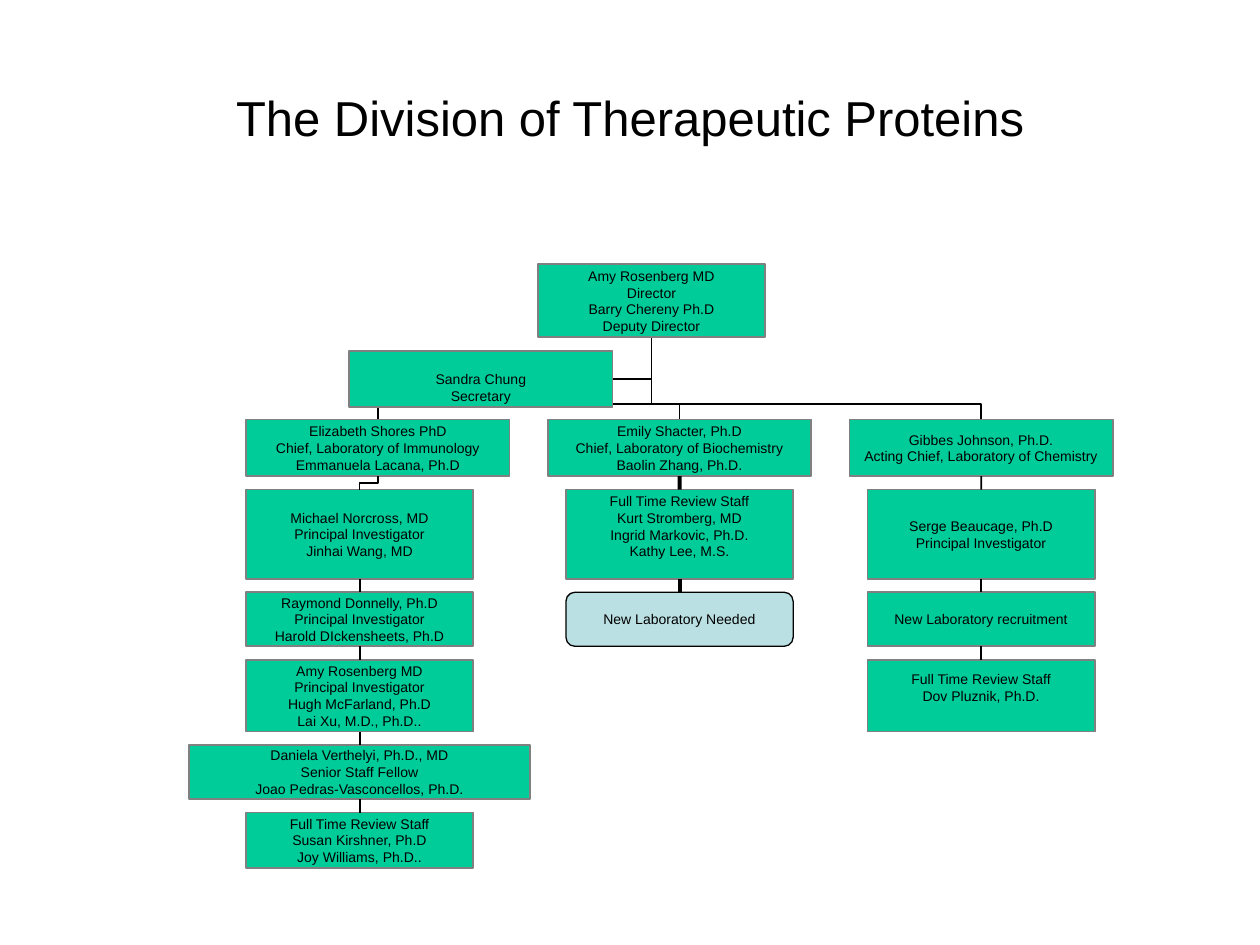
from lxml import etree
from pptx import Presentation
from pptx.dml.color import RGBColor
from pptx.enum.shapes import MSO_CONNECTOR, MSO_SHAPE
from pptx.enum.text import MSO_ANCHOR, MSO_AUTO_SIZE, PP_ALIGN
from pptx.oxml.ns import qn
from pptx.util import Cm, Pt

RECT, ROUNDED = MSO_SHAPE.RECTANGLE, MSO_SHAPE.ROUNDED_RECTANGLE
STRAIGHT, ELBOW = MSO_CONNECTOR.STRAIGHT, MSO_CONNECTOR.ELBOW
MIDDLE, CENTER, NO_FIT = MSO_ANCHOR.MIDDLE, PP_ALIGN.CENTER, MSO_AUTO_SIZE.NONE
BOTTOM, RIGHT, TOP = 2, 3, 0

COLORS = {"text": "000000", "box": "00CC99", "border": "808080",
          "open": "BBE0E3", "line": "000000"}
GAP, LINE_HEIGHT = 0.27, 0.33
CHIEF_W, CHIEF_H, CHIEF_TOP = 5.31, 1.14, 8.46
STAFF_W, WIDE_W = 4.58, 6.88
ROW_HEIGHTS = [1.8, 1.09, 1.45, 1.09, 1.12]

COLUMNS = [
    {"center": 7.62, "staff_center": 7.25, "weight": 1,
     "chief": ["Elizabeth Shores PhD", "Chief, Laboratory of Immunology",
               "Emmanuela Lacana, Ph.D"],
     "staff": [
         {"lines": ["Michael Norcross, MD", "Principal Investigator",
                    "Jinhai Wang, MD"]},
         {"lines": ["Raymond Donnelly, Ph.D", "Principal Investigator",
                    "Harold DIckensheets, Ph.D"]},
         {"lines": ["Amy Rosenberg MD", "Principal Investigator",
                    "Hugh McFarland, Ph.D", "Lai Xu, M.D., Ph.D.."]},
         {"lines": ["Daniela Verthelyi, Ph.D., MD", "Senior Staff Fellow",
                    "Joao Pedras-Vasconcellos, Ph.D."], "width": WIDE_W},
         {"lines": ["Full Time Review Staff", "Susan Kirshner, Ph.D",
                    "Joy Williams, Ph.D.."]}]},
    {"center": 13.7, "staff_center": 13.7, "weight": 2.25,
     "chief": ["Emily Shacter, Ph.D", "Chief, Laboratory of Biochemistry",
               "Baolin Zhang, Ph.D."],
     "staff": [
         {"lines": ["Full Time Review Staff", "Kurt Stromberg, MD",
                    "Ingrid Markovic, Ph.D.", "Kathy Lee, M.S."],
          "below": LINE_HEIGHT},
         {"lines": ["New Laboratory Needed"], "kind": ROUNDED}]},
    {"center": 19.78, "staff_center": 19.78, "weight": 1,
     "chief": ["Gibbes Johnson, Ph.D.", "Acting Chief, Laboratory of Chemistry"],
     "staff": [
         {"lines": ["Serge Beaucage, Ph.D", "Principal Investigator"]},
         {"lines": ["New Laboratory recruitment"]},
         {"lines": ["Full Time Review Staff", "Dov Pluznik, Ph.D."],
          "below": LINE_HEIGHT}]},
]


def rgb(name):
    return RGBColor.from_string(COLORS[name])


def format_text(p, size):
    p.alignment = CENTER
    for key, value in {"name": "Arial", "size": Pt(size)}.items():
        setattr(p.font, key, value)
    p.font.color.rgb = rgb("text")


def format_line(c, weight):
    c.line.color.rgb = rgb("line")
    c.line.width = Pt(weight)
    etree.SubElement(c._element.spPr, qn("a:effectLst"))


def add_box(s, x, y, w, h, lines, kind=RECT, above=0, below=0):
    sp = s.shapes.add_shape(kind, Cm(x), Cm(y), Cm(w), Cm(h))
    sp.shadow.inherit = False
    is_open = kind == ROUNDED
    sp.fill.solid()
    sp.fill.fore_color.rgb = rgb("open" if is_open else "box")
    sp.line.color.rgb = rgb("line" if is_open else "border")
    sp.line.width = Pt(0.75 if is_open else 1)
    tf = sp.text_frame
    values = {"word_wrap": False, "vertical_anchor": MIDDLE,
              "margin_left": Cm(0.08), "margin_right": Cm(0.08),
              "margin_top": Cm(0.05 + above), "margin_bottom": Cm(0.05 + below)}
    for key, value in values.items():
        setattr(tf, key, value)
    for i, line in enumerate(lines):
        p = tf.add_paragraph() if i else tf.paragraphs[0]
        p.text = line
        format_text(p, 8)
    return sp


def add_link(s, upper, lower, weight):
    c = s.shapes.add_connector(STRAIGHT, 0, 0, 0, 0)
    c.begin_connect(upper, BOTTOM)
    c.end_connect(lower, TOP)
    format_line(c, weight)


def add_elbow(s, child_x, child_y, parent_x, parent_y, bend):
    length, offset = child_y - parent_y, abs(child_x - parent_x)
    x = (child_x + parent_x - length) / 2
    y = (child_y + parent_y - offset) / 2
    c = s.shapes.add_connector(ELBOW, Cm(x), Cm(y), Cm(x + length), Cm(y + offset))
    xfrm = c._element.spPr.find(qn("a:xfrm"))
    xfrm.set("flipV", "1")
    if child_x < parent_x:
        xfrm.set("flipH", "1")
    xfrm.set("rot", str((90 if child_x < parent_x else 270) * 60000))
    guides = c._element.spPr.find(qn("a:prstGeom")).get_or_add_avLst()
    etree.SubElement(guides, qn("a:gd"), name="adj1", fmla=f"val {round(bend * 100000)}")
    format_line(c, 1)


def place_title(s, x, y, w, h):
    title = s.shapes.title
    for key, value in zip(("left", "top", "width", "height"), (x, y, w, h)):
        setattr(title, key, Cm(value))
    tf = title.text_frame
    tf.text = "The Division of Therapeutic Proteins"
    for key, value in {"word_wrap": True, "auto_size": NO_FIT,
                       "vertical_anchor": MIDDLE}.items():
        setattr(tf, key, value)
    format_text(tf.paragraphs[0], 28)


def place_office(s, x, y, w, h):
    center, bottom = x + w / 2, y + h
    for column in COLUMNS:
        add_elbow(s, column["center"], CHIEF_TOP, center, bottom, 0.19)
    add_box(s, x, y, w, h, ["Amy Rosenberg MD", "Director",
                            "Barry Chereny Ph.D", "Deputy Director"])
    secretary = add_box(s, x - 3.81, bottom + GAP, CHIEF_W, CHIEF_H,
                        ["Sandra Chung", "Secretary"], above=LINE_HEIGHT)
    link_y = secretary.top + secretary.height // 2
    c = s.shapes.add_connector(STRAIGHT, 0, link_y, Cm(center), link_y)
    c.begin_connect(secretary, RIGHT)
    format_line(c, 1)


def place_laboratory(s, column, y):
    center, staff_center = column["center"], column["staff_center"]
    upper = add_box(s, center - CHIEF_W / 2, y, CHIEF_W, CHIEF_H, column["chief"])
    y += CHIEF_H + GAP
    for i, (member, h) in enumerate(zip(column["staff"], ROW_HEIGHTS)):
        w = member.get("width", STAFF_W)
        options = {k: v for k, v in member.items() if k != "width"}
        box = add_box(s, staff_center - w / 2, y, w, h, **options)
        if i == 0 and center != staff_center:
            add_elbow(s, staff_center, y, center, y - GAP, 0.49)
        else:
            add_link(s, upper, box, column["weight"])
        upper = box
        y += h + GAP


def main():
    prs = Presentation()
    prs.slide_width, prs.slide_height = Cm(25.4), Cm(19.05)
    s = prs.slides.add_slide(prs.slide_layouts[5])
    place_title(s, 1.27, 0.76, 22.86, 3.18)
    place_office(s, 10.85, 5.33, 4.57, 1.47)
    for column in COLUMNS:
        place_laboratory(s, column, CHIEF_TOP)
    prs.save("out.pptx")


if __name__ == "__main__":
    main()
